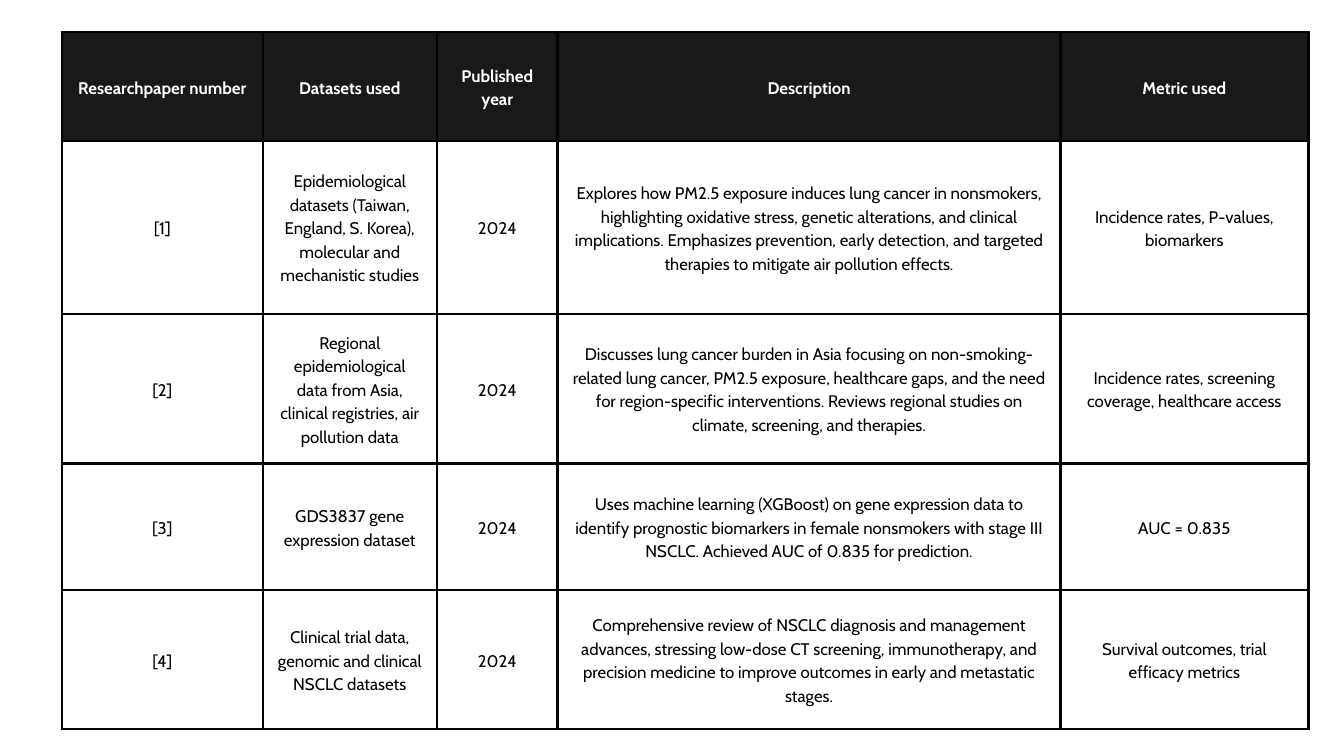
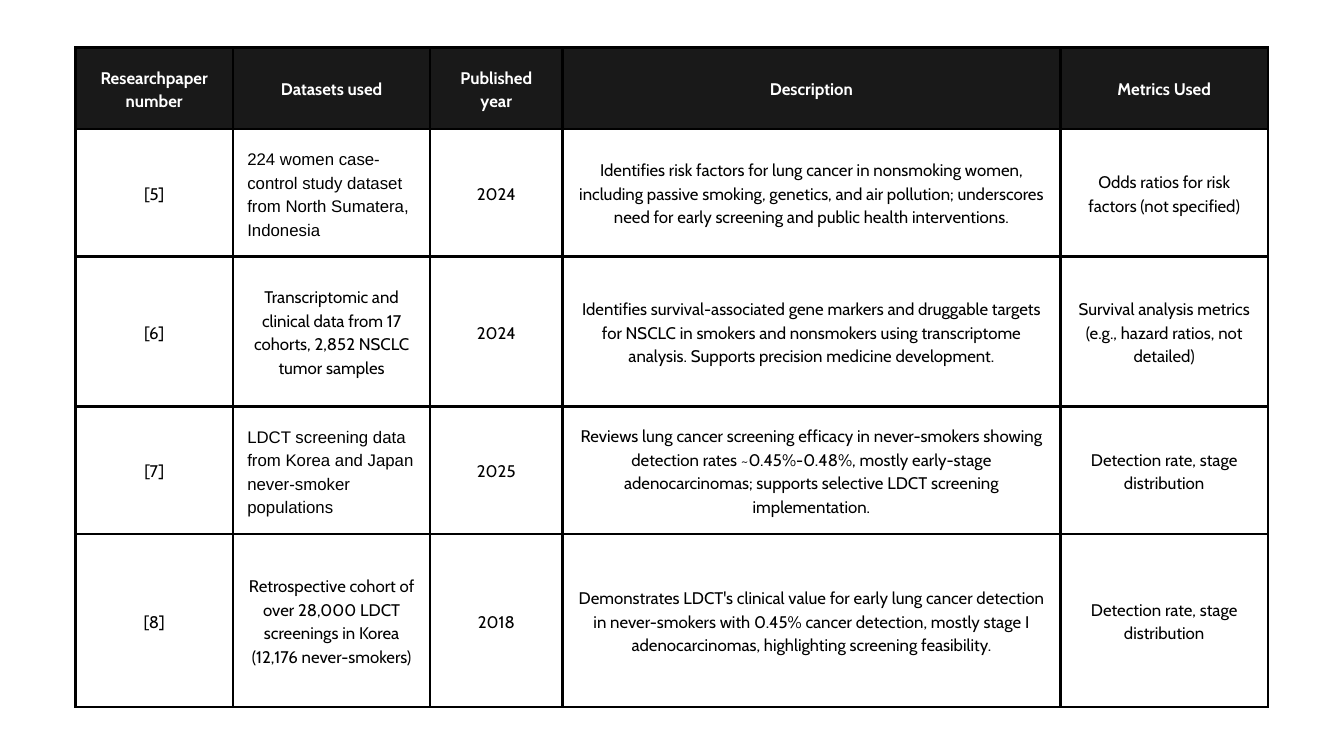
from lxml.etree import SubElement
from pptx import Presentation
from pptx.dml.color import RGBColor
from pptx.enum.text import MSO_ANCHOR, PP_ALIGN
from pptx.oxml.ns import qn
from pptx.util import Emu, Pt

PX = 9144
FONT, ALT_FONT = "Cabin", "Arial"
BLACK, WHITE, HEADER_FILL = "000000", "FFFFFF", "191919"
BORDER = Pt(3)
MARGINS = ("margin_left", "margin_right", "margin_top", "margin_bottom")
HEADER = dict(size=Pt(18), name=FONT, bold=True, color=WHITE)
BODY = dict(HEADER, bold=False, color=BLACK)
ALT_BODY = dict(BODY, name=ALT_FONT)

PAPERS_1 = [
    ["Researchpaper number", "Datasets used", "Published year", "Description", "Metric used"],
    ["[1]",
     "Epidemiological datasets (Taiwan, England, S. Korea), molecular and mechanistic studies",
     "2024",
     "Explores how PM2.5 exposure induces lung cancer in nonsmokers, highlighting oxidative "
     "stress, genetic alterations, and clinical implications. Emphasizes prevention, early "
     "detection, and targeted therapies to mitigate air pollution effects.",
     "Incidence rates, P-values, biomarkers"],
    ["[2]",
     "Regional epidemiological data from Asia, clinical registries, air pollution data",
     "2024",
     "Discusses lung cancer burden in Asia focusing on non-smoking-related lung cancer, PM2.5 "
     "exposure, healthcare gaps, and the need for region-specific interventions. Reviews "
     "regional studies on climate, screening, and therapies.",
     "Incidence rates, screening coverage, healthcare access"],
    ["[3]",
     "GDS3837 gene expression dataset",
     "2024",
     "Uses machine learning (XGBoost) on gene expression data to identify prognostic biomarkers "
     "in female nonsmokers with stage III NSCLC. Achieved AUC of 0.835 for prediction.",
     "AUC = 0.835"],
    ["[4]",
     "Clinical trial data, genomic and clinical NSCLC datasets",
     "2024",
     "Comprehensive review of NSCLC diagnosis and management advances, stressing low-dose CT "
     "screening, immunotherapy, and precision medicine to improve outcomes in early and "
     "metastatic stages.",
     "Survival outcomes, trial efficacy metrics"],
]

PAPERS_2 = [
    ["Researchpaper number", "Datasets used", "Published year", "Description", "Metrics Used"],
    ["[5]",
     "224 women case-control study dataset from North Sumatera, Indonesia",
     "2024",
     "Identifies risk factors for lung cancer in nonsmoking women, including passive smoking, "
     "genetics, and air pollution; underscores need for early screening and public health "
     "interventions.",
     "Odds ratios for risk factors (not specified)"],
    ["[6]",
     "Transcriptomic and clinical data from 17 cohorts, 2,852 NSCLC tumor samples",
     "2024",
     "Identifies survival-associated gene markers and druggable targets for NSCLC in smokers "
     "and nonsmokers using transcriptome analysis. Supports precision medicine development.",
     "Survival analysis metrics (e.g., hazard ratios, not detailed)"],
    ["[7]",
     "LDCT screening data from Korea and Japan never-smoker populations",
     "2025",
     "Reviews lung cancer screening efficacy in never-smokers showing detection rates "
     "~0.45%-0.48%, mostly early-stage adenocarcinomas; supports selective LDCT screening "
     "implementation.",
     "Detection rate, stage distribution"],
    ["[8]",
     "Retrospective cohort of over 28,000 LDCT screenings in Korea (12,176 never-smokers)",
     "2018",
     "Demonstrates LDCT's clinical value for early lung cancer detection in never-smokers with "
     "0.45% cancer detection, mostly stage I adenocarcinomas, highlighting screening "
     "feasibility.",
     "Detection rate, stage distribution"],
]


def px(n):
    return Emu(n * PX)


def rgb(value):
    return RGBColor.from_string(value)


def set_borders(cell):
    tc_pr = cell._tc.get_or_add_tcPr()
    for side in ("lnL", "lnR", "lnT", "lnB"):
        ln = SubElement(tc_pr, qn(f"a:{side}"), w=str(BORDER), cmpd="sng")
        fill = SubElement(ln, qn("a:solidFill"))
        SubElement(fill, qn("a:srgbClr"), val=BLACK)
        SubElement(ln, qn("a:prstDash"), val="solid")


def write_text(tf, text, style, align):
    p = tf.paragraphs[0]
    p.alignment, p.line_spacing = align, Pt(25.2)
    r = p.add_run()
    r.text = text
    for key, value in style.items():
        if key == "color":
            r.font.color.rgb = rgb(value)
        else:
            setattr(r.font, key, value)


def fill_cell(cell, text, style, align, fill=None):
    set_borders(cell)
    if fill:
        cell.fill.solid()
        cell.fill.fore_color.rgb = rgb(fill)
    else:
        cell.fill.background()
    for margin in MARGINS:
        setattr(cell, margin, px(21))
    cell.vertical_anchor = MSO_ANCHOR.MIDDLE
    write_text(cell.text_frame, text, style, align)


def add_papers_slide(prs, papers, left, top, widths, heights, left_aligned=()):
    s = prs.slides.add_slide(prs.slide_layouts[6])
    s.background.fill.solid()
    s.background.fill.fore_color.rgb = rgb(WHITE)
    table = s.shapes.add_table(len(heights), len(widths), px(left), px(top),
                               px(sum(widths)), px(sum(heights))).table
    table.first_row = table.horz_banding = False
    for column, width in zip(table.columns, widths):
        column.width = px(width)
    for row, height in zip(table.rows, heights):
        row.height = px(height)
    for i, row in enumerate(papers):
        for j, text in enumerate(row):
            cell = table.cell(i, j)
            if i == 0:
                fill_cell(cell, text, HEADER, PP_ALIGN.CENTER, HEADER_FILL)
            elif (i, j) in left_aligned:
                fill_cell(cell, text, ALT_BODY, PP_ALIGN.LEFT)
            else:
                fill_cell(cell, text, BODY, PP_ALIGN.CENTER)


def main():
    prs = Presentation()
    prs.slide_width, prs.slide_height = px(2000), px(1125)
    add_papers_slide(prs, PAPERS_1, 92, 48,
                     [299, 259, 180, 748, 369], [162, 257, 223, 188, 207])
    add_papers_slide(prs, PAPERS_2, 112, 71,
                     [235, 293, 197, 741, 309], [121, 190, 223, 190, 257],
                     left_aligned={(1, 1), (3, 1)})
    prs.save("out.pptx")


if __name__ == "__main__":
    main()
